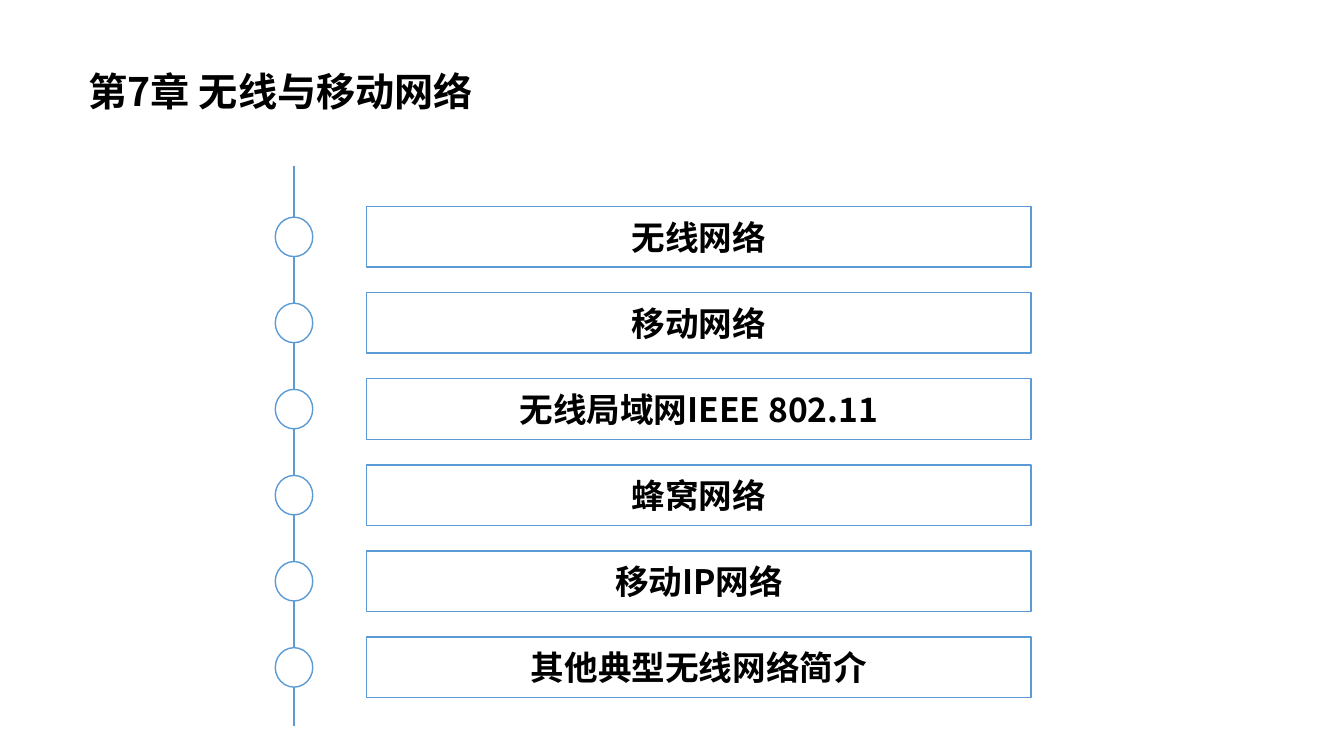
from dataclasses import dataclass

from lxml import etree
from pptx import Presentation
from pptx.dml.color import RGBColor
from pptx.enum import shapes, text
from pptx.oxml import ns
from pptx.util import Pt


@dataclass(frozen=True)
class Theme:
    font: str = "Noto Sans CJK SC"
    ink: RGBColor = RGBColor(0x00, 0x00, 0x00)
    paper: RGBColor = RGBColor(0xFF, 0xFF, 0xFF)
    accent: RGBColor = RGBColor(0x5B, 0x9B, 0xD5)
    title_size: int = 28
    topic_size: int = 24
    line_width: int = 1


THEME = Theme()

CHAPTER = "第7章 无线与移动网络"
TOPICS = [
    "无线网络",
    "移动网络",
    "无线局域网IEEE 802.11",
    "蜂窝网络",
    "移动IP网络",
    "其他典型无线网络简介",
]

AXIS_X = 210
FIRST_ROW_MIDDLE = 169.2
ROW_PITCH = 61.5
TOPIC_LEFT, TOPIC_WIDTH, TOPIC_HEIGHT = 262, 474.5, 43.2
NODE_WIDTH, NODE_HEIGHT = 26.8, 28.2


def write(shape, content, *, size, align):
    frame = shape.text_frame
    frame.word_wrap = True
    frame.vertical_anchor = text.MSO_ANCHOR.MIDDLE
    paragraph = frame.paragraphs[0]
    paragraph.alignment = align
    run = paragraph.add_run()
    run.text = content
    run.font.size = Pt(size)
    run.font.bold = True
    run.font.color.rgb = THEME.ink
    run.font.name = THEME.font
    east_asian = etree.SubElement(run.font._element, ns.qn("a:ea"))
    east_asian.set("typeface", THEME.font)


def add_preset(slide, preset, left, top, width, height, *, outlined=True):
    shape = slide.shapes.add_shape(preset, Pt(left), Pt(top), Pt(width), Pt(height))
    shape.shadow.inherit = False
    if outlined:
        shape.fill.solid()
        shape.fill.fore_color.rgb = THEME.paper
        shape.line.color.rgb = THEME.accent
        shape.line.width = Pt(THEME.line_width)
    else:
        shape.fill.background()
        shape.line.fill.background()
    return shape


def add_title(slide):
    title = add_preset(slide, shapes.MSO_SHAPE.ROUNDED_RECTANGLE,
                       53.3, 34.6, 568.8, 61.2, outlined=False)
    write(title, CHAPTER, size=THEME.title_size, align=text.PP_ALIGN.JUSTIFY)


def add_axis(slide):
    axis = slide.shapes.add_connector(shapes.MSO_CONNECTOR.STRAIGHT,
                                      Pt(AXIS_X), Pt(118.8), Pt(AXIS_X), Pt(518.4))
    axis.line.color.rgb = THEME.accent
    axis.line.width = Pt(THEME.line_width)
    etree.SubElement(axis._element.spPr, ns.qn("a:effectLst"))


def add_topic(slide, topic, middle):
    """Add a node on the axis and the topic's box, both centred on middle."""
    add_preset(slide, shapes.MSO_SHAPE.OVAL, AXIS_X - NODE_WIDTH / 2,
               middle - NODE_HEIGHT / 2, NODE_WIDTH, NODE_HEIGHT)
    box = add_preset(slide, shapes.MSO_SHAPE.RECTANGLE, TOPIC_LEFT,
                     middle - TOPIC_HEIGHT / 2, TOPIC_WIDTH, TOPIC_HEIGHT)
    write(box, topic, size=THEME.topic_size, align=text.PP_ALIGN.CENTER)


def main():
    deck = Presentation()
    deck.slide_width, deck.slide_height = Pt(960), Pt(540)
    slide = deck.slides.add_slide(deck.slide_layouts[6])
    add_axis(slide)
    add_title(slide)
    for row, topic in enumerate(TOPICS):
        add_topic(slide, topic, FIRST_ROW_MIDDLE + row * ROW_PITCH)
    deck.save("out.pptx")


if __name__ == "__main__":
    main()
